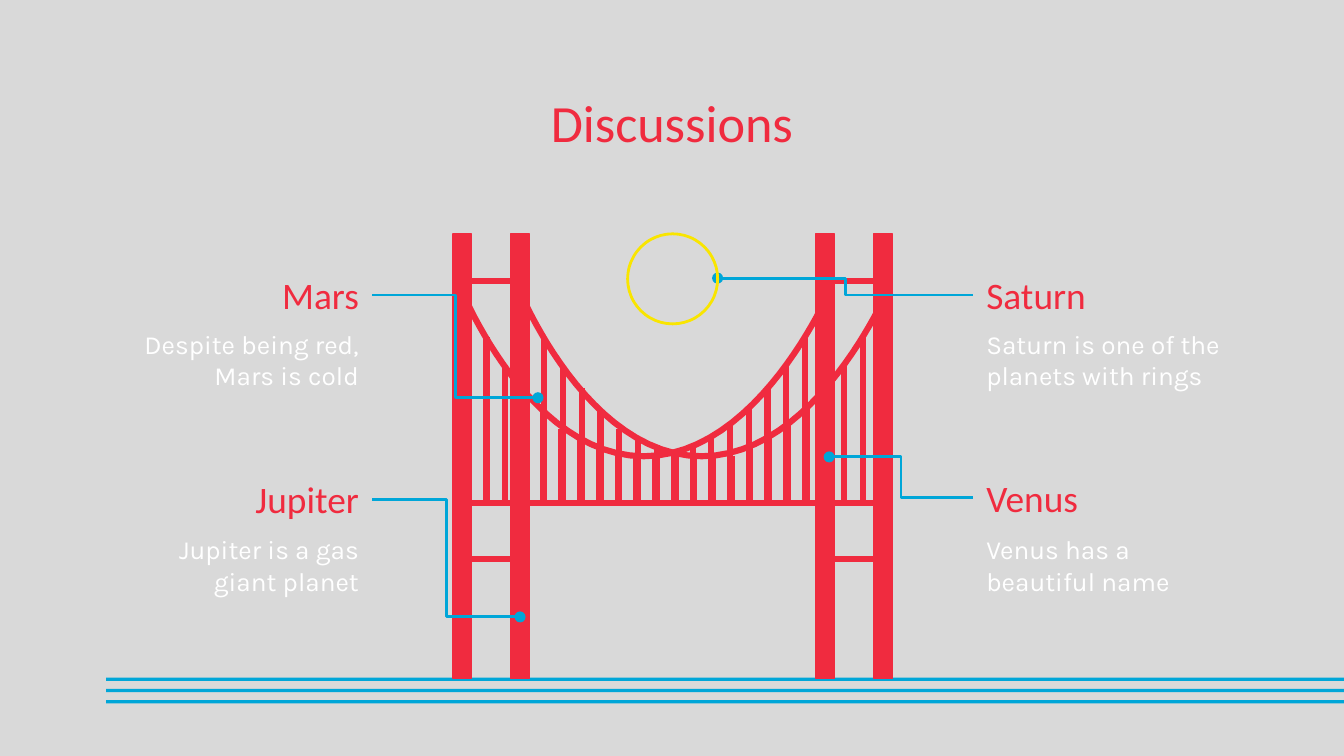
from lxml.etree import SubElement
from pptx import Presentation
from pptx.dml.color import RGBColor
from pptx.enum.shapes import MSO_CONNECTOR, MSO_SHAPE
from pptx.enum.text import MSO_ANCHOR, PP_ALIGN
from pptx.oxml.ns import qn
from pptx.util import Inches, Pt

RED = RGBColor(0xF0, 0x2B, 0x3F)
BLUE = RGBColor(0x00, 0xA6, 0xD8)
YELLOW = RGBColor(0xF9, 0xE5, 0x00)
WHITE = RGBColor(0xFF, 0xFF, 0xFF)
GREY = RGBColor(0xD9, 0xD9, 0xD9)

# The slide is a grid of 100 columns by 56.25 rows, and all lengths count in cells
CELL = Inches(0.1)
COLUMNS, ROWS = 100, 56.25

TITLE_FONT = {"name": "Calibri", "size": Pt(28)}
HEADING_FONT = {"name": "Calibri", "size": Pt(20)}
BODY_FONT = {"name": "Karla", "size": Pt(14)}
FRAME_FORMAT = {"word_wrap": True, "vertical_anchor": MSO_ANCHOR.MIDDLE,
                "margin_left": CELL, "margin_right": CELL,
                "margin_top": CELL, "margin_bottom": CELL}

CABLE_WIDTH = 3.28
HANGER_TOPS = [7.7, 10, 11.5, 13.1, 14.5, 15.1, 15.7, 16.5, 16.5,
               16.5, 16.5, 15.7, 15.1, 14, 12.9, 11.5, 9.7, 7.7]


def cells(*lengths):
    return [round(length * CELL) for length in lengths]


def set_all(target, values):
    for key, value in values.items():
        setattr(target, key, value)


def add_text(slide, box, text, font, color, align):
    frame = slide.shapes.add_textbox(*cells(*box)).text_frame
    set_all(frame, FRAME_FORMAT)
    paragraph = frame.paragraphs[0]
    paragraph.alignment = align
    run = paragraph.add_run()
    run.text = text
    set_all(run.font, font)
    run.font.color.rgb = color


def add_line(slide, start, end, color, width, kind=MSO_CONNECTOR.STRAIGHT):
    line = slide.shapes.add_connector(kind, *cells(*start, *end))
    line.line.color.rgb = color
    line.line.width = Pt(width)
    SubElement(line._element.spPr, qn("a:effectLst"))
    return line


def add_bar(slide, box, color, outline=0):
    bar = slide.shapes.add_shape(MSO_SHAPE.RECTANGLE, *cells(*box))
    bar.shadow.inherit = False
    bar.fill.solid()
    bar.fill.fore_color.rgb = color
    if outline:
        bar.line.color.rgb = color
        bar.line.width = Pt(outline)
    else:
        bar.line.fill.background()


def add_outline(shape, color, width):
    shape.shadow.inherit = False
    shape.fill.background()
    shape.line.color.rgb = color
    shape.line.width = Pt(width)


def add_water(slide, box):
    left, top, width, height = box
    thickness = 0.24
    for wave in range(3):
        y = top + wave * (height - thickness) / 2
        add_bar(slide, (left, y, width, thickness), BLUE)


def bezier(a, b, c, d, steps=24):
    for step in range(steps + 1):
        t = step / steps
        u = 1 - t
        yield tuple(u**3 * p + 3 * u * u * t * q + 3 * u * t * t * r + t**3 * s
                    for p, q, r, s in zip(a, b, c, d))


def add_cable(slide, box):
    left, top, width, height = box
    right, bottom = left + width, top + height
    middle = left + width * 0.495
    start, lowest, end = (left, top), (middle, bottom), (right, top)
    falling = bezier(start, start, (middle - 8.5, bottom), lowest)
    rising = bezier(lowest, (middle + 8.5, bottom), end, end)
    points = [cells(*point) for point in [*falling, *list(rising)[1:]]]
    builder = slide.shapes.build_freeform(*points[0])
    builder.add_line_segments(points[1:], close=False)
    add_outline(builder.convert_to_shape(), RED, CABLE_WIDTH)


def add_bridge_side(slide, box):
    left, top, width, height = box
    tower = 1.4
    for x in (left, left + width - tower):
        add_bar(slide, (x, top, tower, height), RED, 0.75)
    add_cable(slide, (left + 0.7, top + 4.3, width - 1.1, 12.25))
    # Deck, then evenly spaced hangers
    deck = top + 20.05
    add_line(slide, (left + 0.6, deck), (left + width - 0.8, deck),
             RED, CABLE_WIDTH)
    gap = (width - 4.7) / (len(HANGER_TOPS) - 1)
    for index, drop in enumerate(HANGER_TOPS):
        x = left + 2.5 + index * gap
        add_line(slide, (x, top + drop), (x, deck - 0.1), RED, CABLE_WIDTH)


def add_bridge(slide, box):
    left, top, width, height = box
    side_width = 28.4
    for shift in (0, width - side_width):
        add_bridge_side(slide, (left + shift, top, side_width, height))
    # Braces between the front and back towers
    for x in (left + 0.6, left + 27.6):
        for y in (top + 3.5, top + 24.2):
            add_line(slide, (x, y), (x + 4.6, y), RED, CABLE_WIDTH)


def add_sun(slide, box):
    sun = slide.shapes.add_shape(MSO_SHAPE.OVAL, *cells(*box))
    add_outline(sun, YELLOW, 1.5)


def add_callout(slide, box, heading, body, target):
    left, top, width, height = box
    on_left = left < COLUMNS / 2
    align = PP_ALIGN.RIGHT if on_left else PP_ALIGN.LEFT
    add_text(slide, (left, top, width, 4.2), heading, HEADING_FONT, RED, align)
    add_text(slide, (left, top + height - 6.3, width, 6.3), body,
             BODY_FONT, WHITE, align)
    # Leader from the heading to its dot
    edge = left + width if on_left else left
    leader = add_line(slide, (edge, top + 2.15), target, BLUE, 1.5,
                      MSO_CONNECTOR.ELBOW)
    outline = leader._element.spPr.get_or_add_ln()
    SubElement(outline, qn("a:tailEnd"), type="oval")


def main():
    deck = Presentation()
    deck.slide_width, deck.slide_height = cells(COLUMNS, ROWS)
    slide = deck.slides.add_slide(deck.slide_layouts[6])
    slide.background.fill.solid()
    slide.background.fill.fore_color.rgb = GREY

    add_water(slide, (7.9, 50.42, 92.2, 1.92))
    add_bridge(slide, (33.7, 17.4, 32.7, 33.1))
    add_text(slide, (7.85, 5.9, 84.3, 6.3), "Discussions", TITLE_FONT, RED,
             PP_ALIGN.CENTER)

    callouts = [
        ((8, 19.8, 19.7, 10.1), "Mars", "Despite being red, Mars is cold",
         (40.03, 29.6)),
        ((8, 35, 19.7, 10.2), "Jupiter", "Jupiter is a gas giant planet",
         (38.7, 45.9)),
        ((72.4, 19.8, 19.7, 10.1), "Saturn",
         "Saturn is one of the planets with rings", (53.4, 20.7)),
        ((72.4, 34.9, 19.7, 10.3), "Venus", "Venus has a beautiful name",
         (61.7, 34)),
    ]
    for callout in callouts:
        add_callout(slide, *callout)
    add_sun(slide, (46.7, 17.4, 6.7, 6.7))

    deck.save("out.pptx")


if __name__ == "__main__":
    main()
